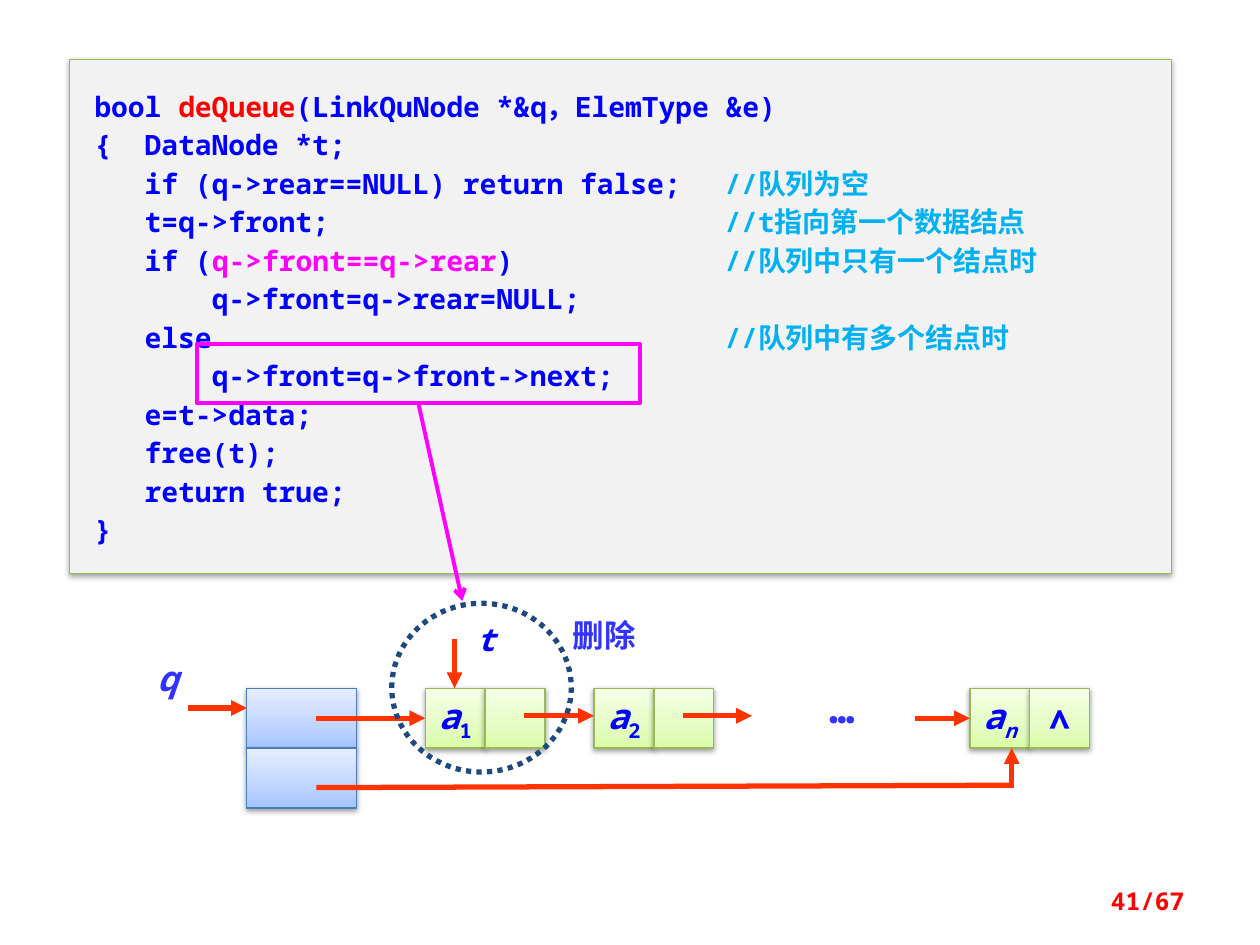
from dataclasses import dataclass

import lxml.etree
import pptx
import pptx.dml.color
import pptx.enum.dml
import pptx.enum.shapes
import pptx.enum.text
import pptx.oxml
import pptx.oxml.ns
import pptx.util

ALIGN = pptx.enum.text.PP_ALIGN
SHAPE = pptx.enum.shapes.MSO_SHAPE


@dataclass(frozen=True)
class Theme:
    code_font: str = "Noto Sans Mono"
    chinese_font: str = "Noto Sans CJK SC"
    code: str = "0000FF"
    label: str = "3333FF"
    name: str = "FF0000"
    comment: str = "00B0F0"
    highlight: str = "FF00FF"
    pointer: str = "FF3300"
    circle: str = "1F497D"
    panel: str = "F2F2F2"
    node_line: str = "98B955"
    node_fill: tuple = ("DAFDA7", "E4FCC2", "F5FFE7")
    header_line: str = "4B7EBC"
    header_fill: tuple = ("A4C4FF", "BFD4FF", "E6EEFF")
    page_size: int = 14
    code_size: int = 16
    small_label: int = 18
    node_size: int = 20
    ellipsis_size: int = 24
    code_leading: int = 22
    thin: float = 0.75
    medium: float = 2.25
    thick: float = 3


THEME = Theme()


@dataclass(frozen=True)
class Box:
    """An area in inches, divided into columns and rows."""
    left: float
    top: float
    width: float
    height: float
    columns: float
    rows: float

    def point(self, column, row):
        return (self.left + column * self.width / self.columns,
                self.top + row * self.height / self.rows)

    def area(self, column, row, across, down, columns=1, rows=1):
        return Box(*self.point(column, row), across * self.width / self.columns,
                   down * self.height / self.rows, columns, rows)

    def lengths(self):
        return [pptx.util.Inches(n) for n in (self.left, self.top, self.width, self.height)]


def color(value):
    return pptx.dml.color.RGBColor.from_string(value)


def add_run(paragraph, text, size, text_color, bold=True, italic=False, subscript=False, font=THEME.code_font):
    run = paragraph.add_run()
    run.text = text
    run.font.name = font
    run.font.size = pptx.util.Pt(size)
    run.font.bold, run.font.italic = bold, italic
    run.font.color.rgb = color(text_color)
    properties = run._r.get_or_add_rPr()
    east_asian = lxml.etree.SubElement(properties, pptx.oxml.ns.qn("a:ea"))
    east_asian.set("typeface", THEME.chinese_font)
    if subscript:
        properties.set("baseline", "-25000")


def add_label(slide, box, text, size, text_color, align=ALIGN.CENTER, **style):
    frame = slide.shapes.add_textbox(*box.lengths()).text_frame
    frame.word_wrap = True
    frame.paragraphs[0].alignment = align
    add_run(frame.paragraphs[0], text, size, text_color, **style)
    return frame


def add_outline(slide, box, line_color, width, kind=SHAPE.RECTANGLE):
    shape = slide.shapes.add_shape(kind, *box.lengths())
    shape.shadow.inherit = False
    shape.fill.background()
    shape.line.color.rgb = color(line_color)
    shape.line.width = pptx.util.Pt(width)
    return shape


def add_shadow(shape):
    effects = shape._element.spPr.find(pptx.oxml.ns.qn("a:effectLst"))
    effects.append(pptx.oxml.parse_xml(
        f'<a:outerShdw {pptx.oxml.ns.nsdecls("a")} blurRad="40000" dist="20000" dir="5400000" '
        'rotWithShape="0"><a:srgbClr val="000000"><a:alpha val="38000"/></a:srgbClr></a:outerShdw>'))


def add_cell(slide, box, stops, line_color):
    """A shadowed rectangle whose gradient runs from bottom to top."""
    shape = add_outline(slide, box, line_color, THEME.thin)
    stop_xml = "".join(f'<a:gs pos="{place}"><a:srgbClr val="{stop}"/></a:gs>'
                       for place, stop in zip((0, 35000, 100000), stops))
    properties = shape._element.spPr
    properties.replace(properties.find(pptx.oxml.ns.qn("a:noFill")), pptx.oxml.parse_xml(
        f'<a:gradFill {pptx.oxml.ns.nsdecls("a")} rotWithShape="1"><a:gsLst>{stop_xml}</a:gsLst>'
        '<a:lin ang="16200000" scaled="0"/></a:gradFill>'))
    add_shadow(shape)
    return shape


def add_line(slide, start, end, line_color=THEME.pointer, width=THEME.thick, head="triangle"):
    ends = [pptx.util.Inches(n) for n in (*start, *end)]
    line = slide.shapes.add_connector(pptx.enum.shapes.MSO_CONNECTOR.STRAIGHT, *ends)
    line.line.color.rgb = color(line_color)
    line.line.width = pptx.util.Pt(width)
    properties = line._element.spPr
    if head:
        outline = properties.find(pptx.oxml.ns.qn("a:ln"))
        lxml.etree.SubElement(outline, pptx.oxml.ns.qn("a:tailEnd")).set("type", head)
    lxml.etree.SubElement(properties, pptx.oxml.ns.qn("a:effectLst"))


CODE = [
    [("bool ", THEME.code), ("deQueue", THEME.name), ("(LinkQuNode *&q，ElemType &e)", THEME.code)],
    [("{  DataNode *t;", THEME.code)],
    [("   if (q->rear==NULL) return false;\t", THEME.code), ("//队列为空", THEME.comment)],
    [("   t=q->front;\t", THEME.code), ("//t指向第一个数据结点", THEME.comment)],
    [("   if (", THEME.code), ("q->front==q->rear", THEME.highlight), (")\t", THEME.code),
     ("//队列中只有一个结点时", THEME.comment)],
    [("       q->front=q->rear=NULL;", THEME.code)],
    [("   else\t", THEME.code), ("//队列中有多个结点时", THEME.comment)],
    [("       q->front=q->front->next;", THEME.code)],
    [("   e=t->data;", THEME.code)],
    [("   free(t);", THEME.code)],
    [("   return true;", THEME.code)],
    [("}", THEME.code)],
]


def add_code_panel(slide, box):
    panel = add_outline(slide, box, THEME.node_line, THEME.thin)
    panel.fill.solid()
    panel.fill.fore_color.rgb = color(THEME.panel)
    add_shadow(panel)
    frame = panel.text_frame
    frame.word_wrap = True
    frame.vertical_anchor = pptx.enum.text.MSO_ANCHOR.TOP
    frame.margin_left = frame.margin_top = frame.margin_bottom = pptx.util.Inches(0.2)
    for index, segments in enumerate(CODE):
        paragraph = frame.add_paragraph() if index else frame.paragraphs[0]
        paragraph.alignment = ALIGN.LEFT
        paragraph.line_spacing = pptx.util.Pt(THEME.code_leading)
        tabs = lxml.etree.SubElement(paragraph._p.get_or_add_pPr(), pptx.oxml.ns.qn("a:tabLst"))
        tab = lxml.etree.SubElement(tabs, pptx.oxml.ns.qn("a:tab"))
        tab.set("pos", str(pptx.util.Inches(5)))
        tab.set("algn", "l")
        for text, text_color in segments:
            add_run(paragraph, text, THEME.code_size, text_color)


def add_node(slide, box, index, index_italic=False, link=""):
    """A list node: a data cell holding a with its index, then a link cell."""
    data = [("a", True, False), (index, index_italic, True)]
    for column, runs in enumerate((data, [(link, False, False)] if link else [])):
        cell = add_cell(slide, box.area(column, 0, 1, 1), THEME.node_fill, THEME.node_line)
        cell.text_frame.word_wrap = False
        cell.text_frame.paragraphs[0].alignment = ALIGN.CENTER
        for text, italic, subscript in runs:
            add_run(cell.text_frame.paragraphs[0], text, THEME.node_size, THEME.code,
                    italic=italic, subscript=subscript)


def add_queue_diagram(slide, box):
    for row in (1.5, 2.5):
        add_cell(slide, box.area(2.02, row, 1.83, 1), THEME.header_fill, THEME.header_line)
    for column, index, italic, link in ((5, "1", False, ""), (7.82, "2", False, ""), (14.1, "n", True, "∧")):
        add_node(slide, box.area(column, 1.5, 2, 1, columns=2), index, italic, link)
    for start, end, head in (
        ((1.03, 1.83), (2.02, 1.83), "triangle"),
        ((3.18, 2), (5, 2), "triangle"),
        ((6.65, 1.96), (7.82, 1.96), "triangle"),
        ((9.3, 1.96), (10.46, 1.96), "triangle"),
        ((13.18, 2), (14.1, 2), "triangle"),
        ((3.18, 3.16), (14.82, 3.12), None),
        ((14.8, 3.16), (14.8, 2.5), "triangle"),
        ((5.49, 0.67), (5.49, 1.5), "triangle"),
    ):
        add_line(slide, box.point(*start), box.point(*end), head=head)
    circle = add_outline(slide, box.area(4.44, 0.08, 3, 2.82), THEME.circle, THEME.thick, SHAPE.OVAL)
    circle.line.dash_style = pptx.enum.dml.MSO_LINE.ROUND_DOT
    add_label(slide, box.area(0.19, 0.86, 1, 0.9), "q", THEME.node_size, THEME.label, italic=True)
    add_label(slide, box.area(5.6, 0.25, 0.82, 0.84), "t", THEME.small_label, THEME.code, italic=True)
    add_label(slide, box.area(11.05, 1.28, 1.83, 1.05), "…", THEME.ellipsis_size, THEME.label)
    add_label(slide, box.area(7.26, 0.19, 1.98, 0.84), "删除", THEME.small_label, THEME.label,
              align=ALIGN.LEFT, font=THEME.chinese_font)


def add_page_number(slide, box):
    frame = add_label(slide, box, "41/67", THEME.page_size, THEME.name, align=ALIGN.RIGHT)
    frame.vertical_anchor = pptx.enum.text.MSO_ANCHOR.MIDDLE


def main():
    presentation = pptx.Presentation()
    page = Box(0, 0, 10, 7.5, columns=20, rows=15)
    presentation.slide_width, presentation.slide_height = page.lengths()[2:]
    slide = presentation.slides.add_slide(presentation.slide_layouts[6])
    code_box = page.area(1.1, 0.94, 17.5, 8.16, columns=35, rows=16)
    diagram_box = page.area(2, 9.5, 15.2, 3.8, columns=16, rows=4)
    highlight_box = code_box.area(4.04, 8.86, 14.08, 1.84)
    add_code_panel(slide, code_box)
    add_queue_diagram(slide, diagram_box)
    add_outline(slide, highlight_box, THEME.highlight, THEME.medium)
    add_line(slide, highlight_box.point(0.5, 1), diagram_box.point(5.62, 0.04),
             THEME.highlight, THEME.medium, "arrow")
    add_page_number(slide, page.area(14.34, 13.9, 4.66, 0.8))
    presentation.save("out.pptx")


if __name__ == "__main__":
    main()
